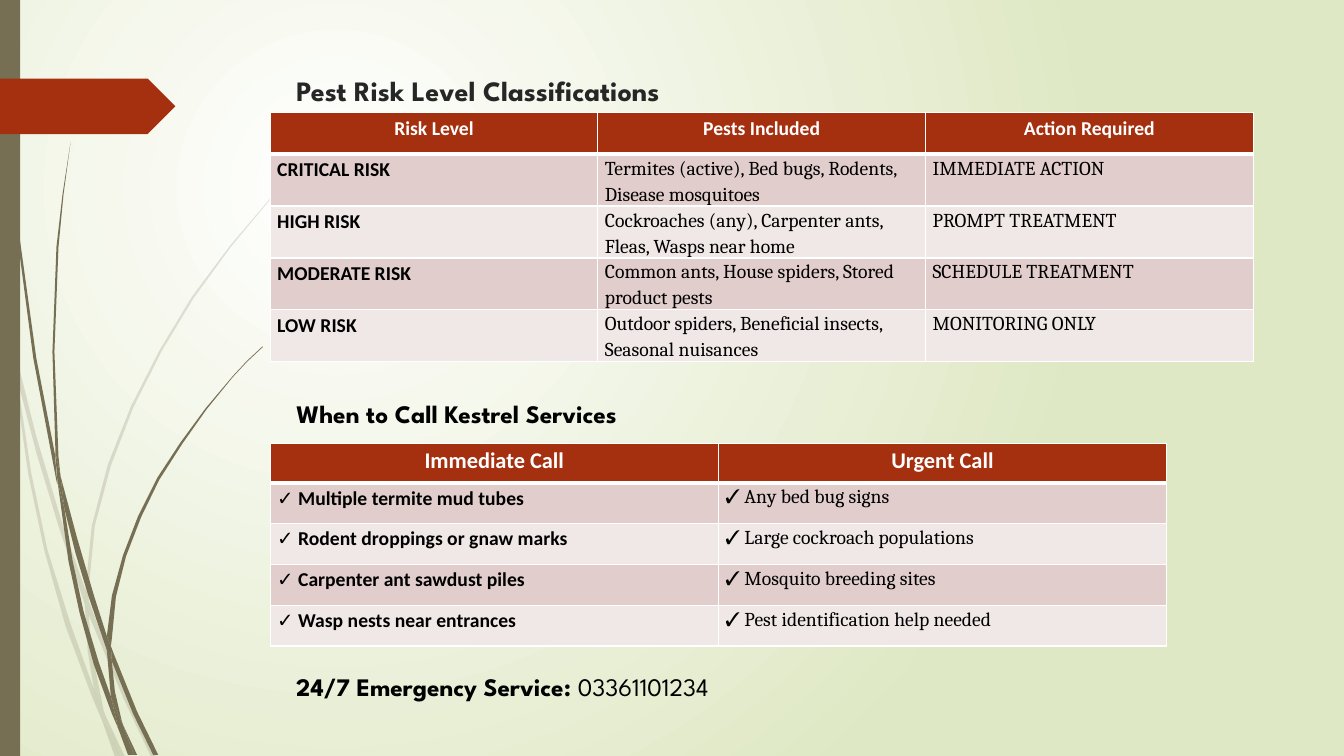
from dataclasses import dataclass

from lxml.etree import SubElement
from pptx import Presentation
from pptx.dml.color import RGBColor
from pptx.enum.shapes import MSO_SHAPE
from pptx.enum.text import MSO_ANCHOR, MSO_AUTO_SIZE, PP_ALIGN
from pptx.oxml.ns import qn
from pptx.util import Emu, Pt

PX = 9144  # EMU in one px, 100 px to the inch


@dataclass(frozen=True)
class Theme:
    white: str = "FFFFFF"
    meadow: str = "DFE8C4"
    stem: str = "766F54"
    rust: str = "A53010"
    bands: tuple = ("E1CDCC", "F0E8E7")
    ink: str = "000000"
    title_ink: str = "262626"
    heading_font: str = "League Spartan"
    label_font: str = "Calibri"
    body_font: str = "Cambria"
    title_size: int = 20
    heading_size: int = 18
    call_header_size: int = 16
    table_size: int = 14


THEME = Theme()

# Grass: outlines of the blade pieces
PALE_GRASS = [
    [(11, 350), (9, 322), (0, 282), (0, 299), (10, 344)],
    [(58, 522), (84, 599), (85, 586), (62, 520), (36, 433), (14, 345), (17, 376),
     (36, 449)],
    [(92, 607), (88, 596), (88, 610), (123, 694), (150, 751), (155, 751), (127, 692)],
    [(119, 751), (124, 751), (105, 711)],
    [(93, 683), (70, 619), (47, 545), (31, 469), (17, 376), (11, 350), (28, 470),
     (44, 546), (65, 621), (92, 693), (101, 714), (99, 707)],
    [(84, 599), (87, 646), (93, 683), (96, 692), (105, 711), (103, 706), (91, 646),
     (88, 610), (88, 608)],
    [(88, 584), (94, 522), (110, 462), (132, 405), (160, 349), (192, 296), (229, 245),
     (268, 198), (290, 175), (312, 154), (312, 153), (289, 175), (268, 197), (228, 244),
     (190, 295), (158, 348), (130, 403), (107, 461), (91, 522), (85, 584), (85, 586),
     (88, 596)],
    [(101, 714), (114, 751), (119, 751)],
    [(88, 608), (88, 610), (88, 596), (85, 586), (84, 599)],
    [(96, 692), (93, 683), (99, 707), (101, 714), (119, 751), (105, 711)],
]
DARK_GRASS = [
    [(7, 110), (17, 233), (33, 355), (56, 477), (57, 481), (55, 457), (55, 453),
     (36, 355), (19, 232), (8, 109), (5, 48), (4, 0), (3, 0), (4, 48)],
    [(88, 592), (106, 645), (106, 633), (106, 631), (93, 590), (76, 532), (60, 472),
     (64, 505), (75, 549)],
    [(113, 649), (110, 641), (111, 656), (132, 708), (152, 749), (157, 749), (136, 706)],
    [(110, 691), (98, 657), (83, 607), (72, 556), (64, 505), (57, 477), (68, 557),
     (79, 608), (93, 659), (111, 708), (117, 722), (116, 717)],
    [(60, 472), (58, 453), (54, 349), (58, 245), (63, 193), (70, 141), (62, 193),
     (56, 245), (52, 349), (55, 449)],
    [(133, 749), (136, 749), (122, 719)],
    [(57, 477), (64, 505), (60, 472), (55, 449), (55, 453)],
    [(111, 633), (115, 592), (125, 552), (140, 513), (158, 476), (181, 440), (205, 406),
     (231, 374), (245, 359), (261, 344), (260, 344), (245, 358), (231, 373), (204, 405),
     (179, 439), (156, 474), (137, 512), (122, 551), (111, 591), (106, 631), (110, 641)],
    [(117, 722), (127, 749), (131, 749)],
    [(106, 645), (110, 691), (116, 706), (122, 719), (121, 716), (114, 686), (111, 656),
     (109, 651)],
    [(106, 645), (109, 651), (111, 656), (110, 641), (106, 631), (106, 633)],
    [(116, 706), (110, 691), (116, 717), (117, 722), (130, 749), (133, 749), (122, 719)],
]

RISK_ROWS = [
    ("Risk Level", "Pests Included", "Action Required"),
    ("CRITICAL RISK", "Termites (active), Bed bugs, Rodents, Disease mosquitoes",
     "IMMEDIATE ACTION"),
    ("HIGH RISK", "Cockroaches (any), Carpenter ants, Fleas, Wasps near home",
     "PROMPT TREATMENT"),
    ("MODERATE RISK", "Common ants, House spiders, Stored product pests",
     "SCHEDULE TREATMENT"),
    ("LOW RISK", "Outdoor spiders, Beneficial insects, Seasonal nuisances",
     "MONITORING ONLY"),
]
CALL_ROWS = [
    ("Immediate Call", "Urgent Call"),
    ("✓ Multiple termite mud tubes", "✓ Any bed bug signs"),
    ("✓ Rodent droppings or gnaw marks", "✓ Large cockroach populations"),
    ("✓ Carpenter ant sawdust piles", "✓ Mosquito breeding sites"),
    ("✓ Wasp nests near entrances", "✓ Pest identification help needed"),
]


def box(*lengths):
    return [Emu(length * PX) for length in lengths]


def set_font(font, name, size, color, bold):
    font.name, font.size, font.bold = name, Pt(size), bold
    font.color.rgb = RGBColor.from_string(color)


def paint(shape, color):
    shape.shadow.inherit = False
    shape.fill.solid()
    shape.fill.fore_color.rgb = RGBColor.from_string(color)
    shape.line.fill.background()


def set_background(slide):
    fill = slide.background.fill
    fill.gradient()
    for stop, color in zip(fill.gradient_stops, (THEME.white, THEME.meadow)):
        stop.color.rgb = RGBColor.from_string(color)
    # Replace the linear direction by a circular one
    gradient = slide.element.find(".//" + qn("a:gradFill"))
    gradient.remove(gradient.find(qn("a:lin")))
    circle = SubElement(gradient, qn("a:path"), {"path": "circle"})
    SubElement(circle, qn("a:fillToRect"),
               {"l": "50000", "t": "50000", "r": "100000", "b": "100000"})


def add_blade(slide, outline, opacity):
    builder = slide.shapes.build_freeform(*outline[0], scale=PX)
    builder.add_line_segments(outline[1:], close=True)
    shape = builder.convert_to_shape()
    paint(shape, THEME.stem)
    if opacity < 100:
        color = shape.element.spPr.find(qn("a:solidFill")).find(qn("a:srgbClr"))
        SubElement(color, qn("a:alpha"), {"val": str(opacity * 1000)})


def add_block(slide, kind, bounds, color):
    paint(slide.shapes.add_shape(kind, *box(*bounds)), color)


def add_title(slide, text, bounds):
    title = slide.shapes.title
    title.left, title.top, title.width, title.height = box(*bounds)
    frame = title.text_frame
    frame.text = text
    frame.vertical_anchor = MSO_ANCHOR.TOP
    frame.auto_size = MSO_AUTO_SIZE.NONE
    paragraph = frame.paragraphs[0]
    paragraph.alignment = PP_ALIGN.LEFT
    set_font(paragraph.font, THEME.heading_font, THEME.title_size, THEME.title_ink, True)


def add_heading(slide, bounds, bold_text, plain_text=""):
    frame = slide.shapes.add_textbox(*box(*bounds)).text_frame
    frame.word_wrap = False
    frame.auto_size = MSO_AUTO_SIZE.SHAPE_TO_FIT_TEXT
    for text, bold in ((bold_text, True), (plain_text, False)):
        if text:
            run = frame.paragraphs[0].add_run()
            run.text = text
            set_font(run.font, THEME.heading_font, THEME.heading_size, THEME.ink, bold)


def add_borders(cell, top, bottom):
    """White cell borders; they come before the fill in the cell properties."""
    properties = cell._tc.get_or_add_tcPr()
    for index, (side, width) in enumerate(
            (("L", 1), ("R", 1), ("T", top), ("B", bottom))):
        line = SubElement(properties, qn("a:ln" + side), {"w": str(Pt(width))})
        fill = SubElement(line, qn("a:solidFill"))
        SubElement(fill, qn("a:srgbClr"), {"val": THEME.white})
        properties.insert(index, line)


def fill_cell(cell, text, color):
    cell.fill.solid()
    cell.fill.fore_color.rgb = RGBColor.from_string(color)
    cell.margin_left = cell.margin_right = Emu(7 * PX)
    cell.margin_top = cell.margin_bottom = 0
    cell.text = text
    paragraph = cell.text_frame.paragraphs[0]
    paragraph.line_spacing = 1.15
    return paragraph


def add_header_table(slide, rows, bounds, header_height, header_size):
    left, top, width, height = box(*bounds)
    table = slide.shapes.add_table(
        len(rows), len(rows[0]), left, top, width, height).table
    row_height = (height - header_height * PX) // (len(rows) - 1)
    for column in table.columns:
        column.width = Emu(width // len(rows[0]))
    for i, texts in enumerate(rows):
        table.rows[i].height = Emu(row_height if i else header_height * PX)
        for j, text in enumerate(texts):
            cell = table.cell(i, j)
            color = THEME.bands[(i - 1) % 2] if i else THEME.rust
            paragraph = fill_cell(cell, text, color)
            add_borders(cell, 3 if i == 1 else 1, 1 if i else 3)
            if i == 0:
                paragraph.alignment = PP_ALIGN.CENTER
                set_font(paragraph.font, THEME.label_font, header_size, THEME.white, True)
            else:
                name = THEME.body_font if j else THEME.label_font
                set_font(paragraph.font, name, THEME.table_size, THEME.ink, j == 0)


def main():
    presentation = Presentation()
    presentation.slide_width, presentation.slide_height = box(1333, 750)
    slide = presentation.slides.add_slide(presentation.slide_layouts[5])

    # Backdrop: gradient, grass, side bar and arrow tab
    set_background(slide)
    for grass, opacity in ((PALE_GRASS, 20), (DARK_GRASS, 100)):
        for outline in grass:
            add_blade(slide, outline, opacity)
    add_block(slide, MSO_SHAPE.RECTANGLE, (0, 0, 20, 750), THEME.stem)
    add_block(slide, MSO_SHAPE.PENTAGON, (0, 78, 174, 55), THEME.rust)

    # Risk levels
    add_title(slide, "Pest Risk Level Classifications", (284, 68, 975, 44))
    add_header_table(slide, RISK_ROWS, (268, 112, 975, 205), 41, THEME.table_size)

    # When to call
    add_heading(slide, (284, 390, 378, 40), "When to Call Kestrel Services")
    add_header_table(slide, CALL_ROWS, (268, 440, 889, 201), 39, THEME.call_header_size)
    add_heading(slide, (284, 661, 484, 40), "24/7 Emergency Service: ", "03361101234")

    presentation.save("out.pptx")


if __name__ == "__main__":
    main()
